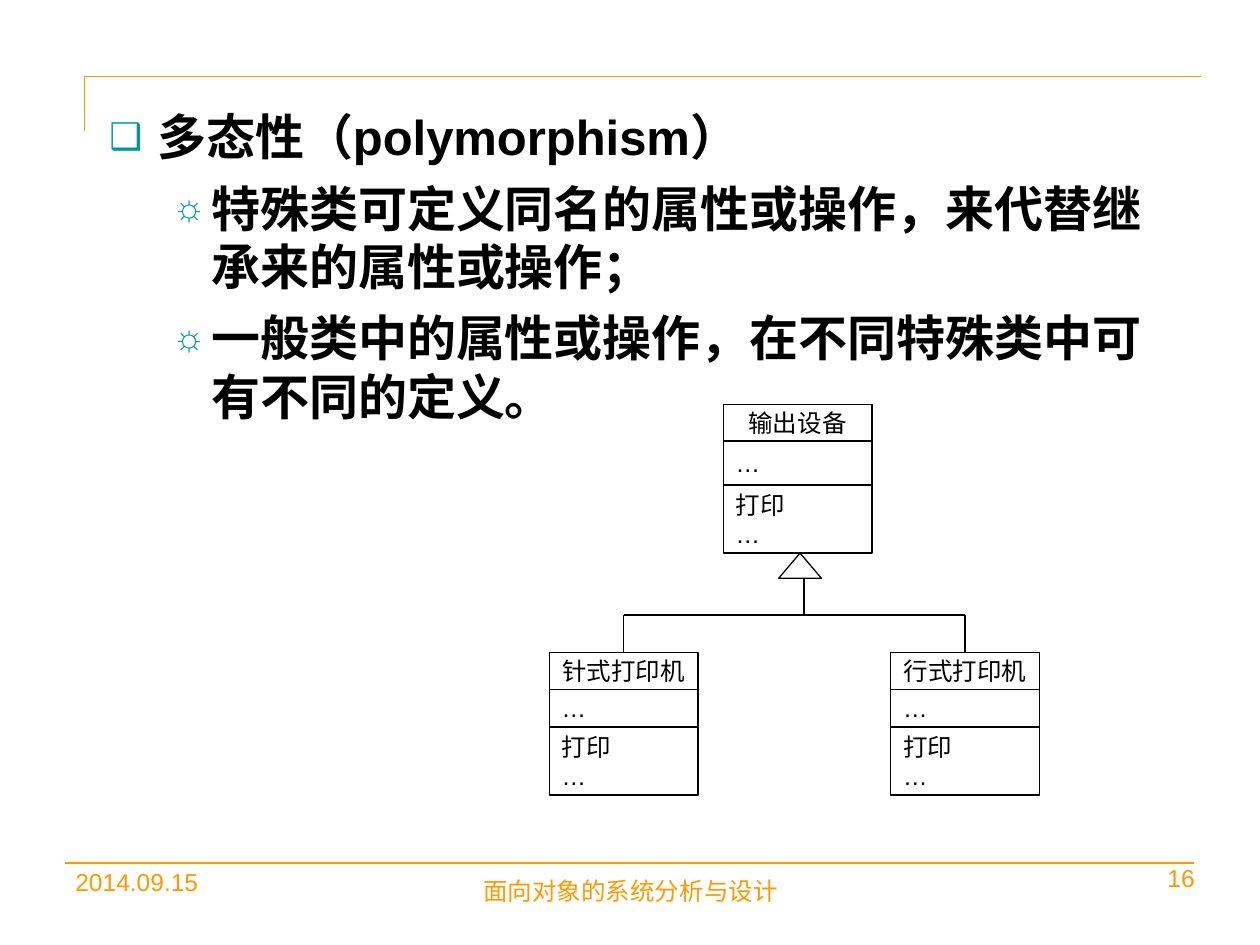
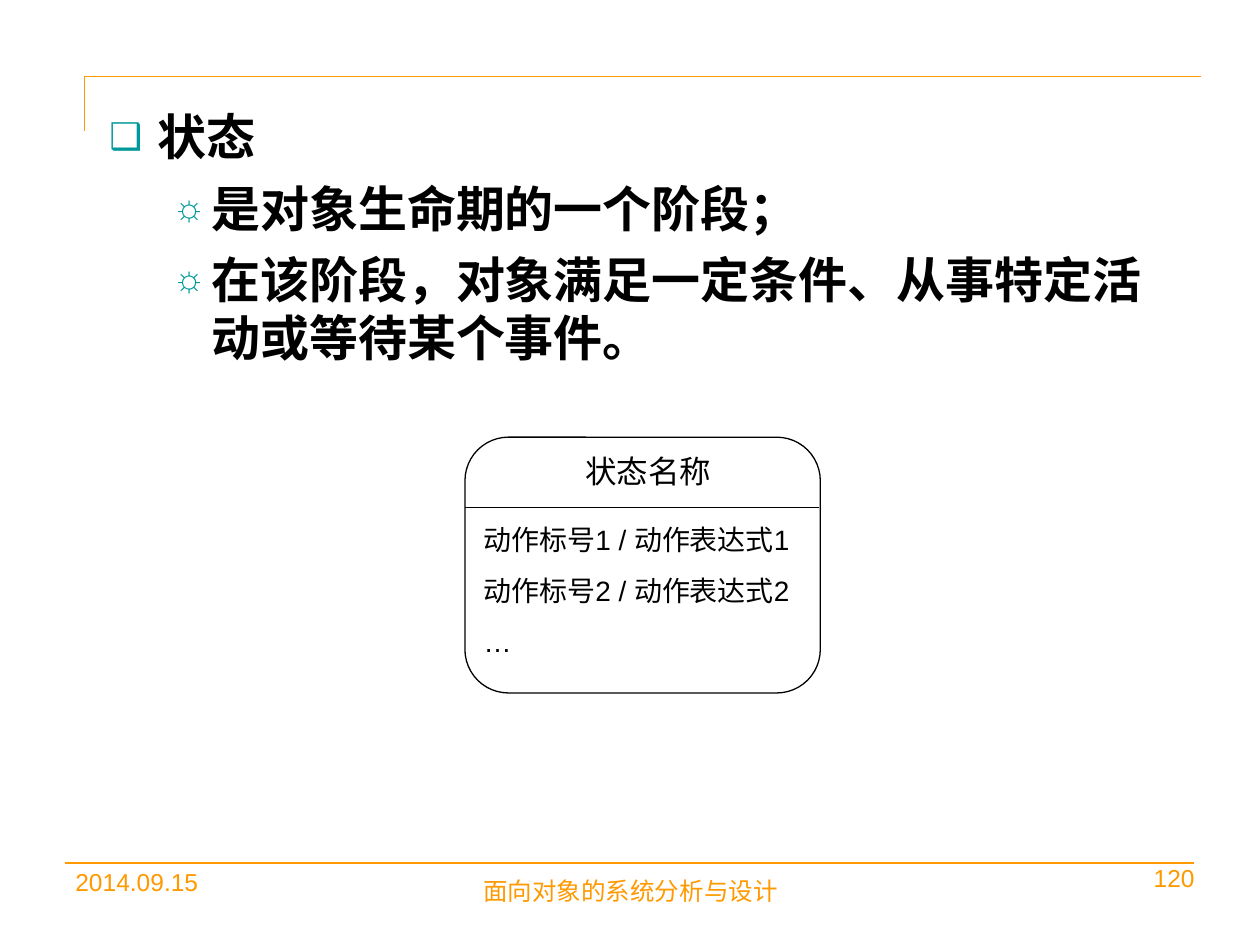
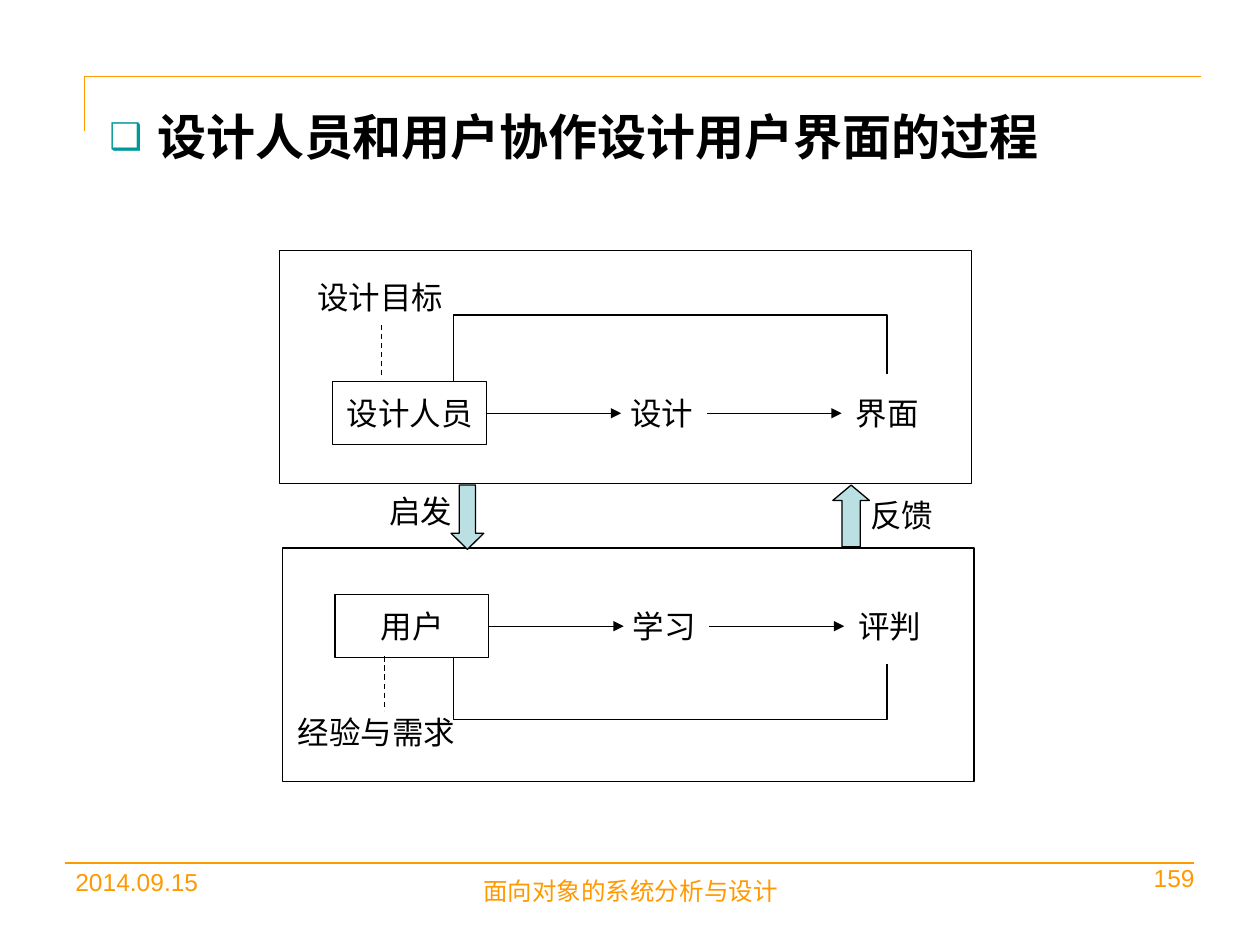
"""Build three slides on object-oriented analysis and design."""
import dataclasses

import lxml.etree
import pptx
import pptx.dml.color
import pptx.enum.dml
import pptx.enum.shapes
import pptx.enum.text
import pptx.oxml.ns
import pptx.util

Inches = pptx.util.Inches
Pt = pptx.util.Pt
RGBColor = pptx.dml.color.RGBColor
SHAPE = pptx.enum.shapes.MSO_SHAPE
ALIGN = pptx.enum.text.PP_ALIGN
ANCHOR = pptx.enum.text.MSO_ANCHOR
qn = pptx.oxml.ns.qn


@dataclasses.dataclass(frozen=True)
class Theme:
    font: str = "Arial"
    ink: RGBColor = RGBColor(0, 0, 0)
    paper: RGBColor = RGBColor(255, 255, 255)
    accent: RGBColor = RGBColor(0xFF, 0x99, 0x00)
    bullet: str = "009999"
    arrow: RGBColor = RGBColor(0xBB, 0xE0, 0xE3)
    body: int = 28
    label: int = 18
    action: int = 16
    small: int = 14
    line: float = 0.75


theme = Theme()


def add_box(slide, kind, at, lines=(), size=theme.label, align=ALIGN.CENTER, color=theme.ink,
            fill=None, anchor=ANCHOR.MIDDLE, wrap=False, gap=0, bold=False):
    at = [Inches(value) for value in at]
    if kind is None:
        shape = slide.shapes.add_textbox(*at)
    else:
        shape = slide.shapes.add_shape(kind, *at)
        shape.shadow.inherit = False
        shape.line.color.rgb = theme.ink
        shape.line.width = Pt(theme.line)
        if fill is None:
            shape.fill.background()
        else:
            shape.fill.solid()
            shape.fill.fore_color.rgb = fill
    frame = shape.text_frame
    frame.word_wrap = wrap
    frame.vertical_anchor = anchor
    for index, text in enumerate(lines):
        paragraph = frame.add_paragraph() if index else frame.paragraphs[0]
        paragraph.alignment = align
        if index and gap:
            paragraph.space_before = Pt(gap)
        run = paragraph.add_run()
        run.text = text
        run.font.name = theme.font
        run.font.size = Pt(size)
        run.font.bold = bold
        run.font.color.rgb = color
    return shape


def add_line(slide, start, end, color=theme.ink, arrow=False, dash=False):
    points = [Inches(value) for value in (*start, *end)]
    connector = slide.shapes.add_connector(pptx.enum.shapes.MSO_CONNECTOR.STRAIGHT, *points)
    connector.line.color.rgb = color
    connector.line.width = Pt(theme.line)
    if dash:
        connector.line.dash_style = pptx.enum.dml.MSO_LINE.DASH
    if arrow:
        lxml.etree.SubElement(connector.line._get_or_add_ln(), qn("a:tailEnd"), type="triangle")
    lxml.etree.SubElement(connector._element.spPr, qn("a:effectLst"))


presentation = pptx.Presentation()
presentation.slide_width = Inches(10)
presentation.slide_height = Inches(7.5)

contents = [
    ("16", ["多态性（polymorphism）",
            "特殊类可定义同名的属性或操作，来代替继承来的属性或操作；",
            "一般类中的属性或操作，在不同特殊类中可有不同的定义。"]),
    ("120", ["状态",
             "是对象生命期的一个阶段；",
             "在该阶段，对象满足一定条件、从事特定活动或等待某个事件。"]),
    ("159", ["设计人员和用户协作设计用户界面的过程"]),
]
frame_lines = [((0.67, 0.61), (9.53, 0.61)), ((0.67, 0.61), (0.67, 1.04)), ((0.52, 6.85), (9.48, 6.85))]

slides = []
for number, points in contents:
    slide = presentation.slides.add_slide(presentation.slide_layouts[6])
    slides.append(slide)
    for start, end in frame_lines:
        add_line(slide, start, end, theme.accent)
    for at, text, align in [((8.74, 6.8, 0.84, 0.34), number, ALIGN.RIGHT),
                            ((0.5, 6.83, 2.33, 0.52), "2014.09.15", ALIGN.LEFT),
                            ((3.42, 6.9, 3.17, 0.45), "面向对象的系统分析与设计", ALIGN.CENTER)]:
        add_box(slide, None, at, [text], theme.small, align, theme.accent, anchor=ANCHOR.TOP, wrap=True)
    body = add_box(slide, None, (0.77, 0.8, 8.73, 5.9), points, theme.body, ALIGN.LEFT,
                   anchor=ANCHOR.TOP, wrap=True, gap=7, bold=True)
    for index, paragraph in enumerate(body.text_frame.paragraphs):
        margin, indent, mark = (0.81, -0.31, "☼") if index else (0.38, -0.38, "❑")
        paragraph.level = min(index, 1)
        properties = paragraph._p.get_or_add_pPr()
        properties.set("marL", str(Inches(margin)))
        properties.set("indent", str(Inches(indent)))
        bullet_color = lxml.etree.SubElement(properties, qn("a:buClr"))
        lxml.etree.SubElement(bullet_color, qn("a:srgbClr"), val=theme.bullet)
        lxml.etree.SubElement(properties, qn("a:buSzPct"), val="75000")
        lxml.etree.SubElement(properties, qn("a:buFont"), typeface=theme.font)
        lxml.etree.SubElement(properties, qn("a:buChar"), char=mark)

class_slide, state_slide, process_slide = slides

class_width = 1.18
for name, left, top, heights in [("输出设备", 5.74, 3.21, (0.29, 0.35, 0.54)),
                                 ("针式打印机", 4.36, 5.18, (0.29, 0.3, 0.54)),
                                 ("行式打印机", 7.07, 5.18, (0.29, 0.3, 0.54))]:
    for lines, height in zip(([name], ["…"], ["打印", "…"]), heights):
        align = ALIGN.CENTER if lines == [name] else ALIGN.LEFT
        add_box(class_slide, SHAPE.RECTANGLE, (left, top, class_width, height), lines, theme.small, align)
        top += height
add_box(class_slide, SHAPE.ISOSCELES_TRIANGLE, (6.18, 4.39, 0.34, 0.2))
add_line(class_slide, (4.95, 4.88), (7.66, 4.88))
add_line(class_slide, (6.38, 4.88), (6.38, 4.59))
for child_center in (4.95, 7.66):
    add_line(class_slide, (child_center, 5.18), (child_center, 4.88))

state = add_box(state_slide, SHAPE.ROUNDED_RECTANGLE, (3.69, 3.47, 2.82, 2.03))
state.adjustments[0] = 0.17
add_line(state_slide, (3.69, 4.03), (6.5, 4.03))
add_box(state_slide, None, (4.06, 3.54, 2.17, 0.4), ["状态名称"], anchor=ANCHOR.TOP, wrap=True)
add_box(state_slide, None, (3.74, 4.1, 2.76, 1.71),
        ["动作标号1 / 动作表达式1", "动作标号2 / 动作表达式2", "…"],
        theme.action, ALIGN.LEFT, anchor=ANCHOR.TOP, wrap=True, gap=10)

step_width, step_height, note_width = 1.22, 0.5, 1.6
panels = [
    (2.22, 1.99, 3.03, ["设计人员", "设计", "界面"], "设计目标", (2.22, 2.11), 2.58,
     [(7.04, 2.97), (7.04, 2.5), (3.6, 2.5), (3.6, 3.03)]),
    (2.24, 4.35, 4.72, ["用户", "学习", "评判"], "经验与需求", (2.19, 5.56), 5.21,
     [(7.04, 5.27), (7.04, 5.71), (3.6, 5.71), (3.6, 5.22)]),
]
for left, top, step_top, steps, note, note_at, dash_top, loop in panels:
    add_box(process_slide, SHAPE.RECTANGLE, (left, top, 5.49, 1.85))
    for index, (step, offset) in enumerate(zip(steps, (0.42, 2.42, 4.21))):
        kind, fill = (None, None) if index else (SHAPE.RECTANGLE, theme.paper)
        add_box(process_slide, kind, (left + offset, step_top, step_width, step_height), [step], fill=fill)
    middle = step_top + step_height / 2
    for offset in (1.64, 3.39):
        add_line(process_slide, (left + offset, middle), (left + offset + 1.07, middle), arrow=True)
    corners = [(Inches(x), Inches(y)) for x, y in loop]
    builder = process_slide.shapes.build_freeform(*corners[0])
    builder.add_line_segments(corners[1:], close=False)
    feedback = builder.convert_to_shape()
    feedback.shadow.inherit = False
    feedback.fill.background()
    feedback.line.color.rgb = theme.ink
    feedback.line.width = Pt(theme.line)
    add_box(process_slide, None, (*note_at, note_width, step_height), [note])
    add_line(process_slide, (left + 0.81, dash_top), (left + 0.81, dash_top + 0.43), dash=True)

for kind, arrow_at, head, text, text_at in [
        (SHAPE.DOWN_ARROW, (3.58, 3.85, 0.26, 0.51), 0.49, "启发", (2.99, 3.86)),
        (SHAPE.UP_ARROW, (6.61, 3.85, 0.29, 0.49), 0.42, "反馈", (6.81, 3.89))]:
    arrow = add_box(process_slide, kind, arrow_at, fill=theme.arrow)
    arrow.adjustments[1] = head
    add_box(process_slide, None, (*text_at, 0.88, 0.4), [text], align=ALIGN.LEFT,
            anchor=ANCHOR.TOP, wrap=True)

presentation.save("out.pptx")
